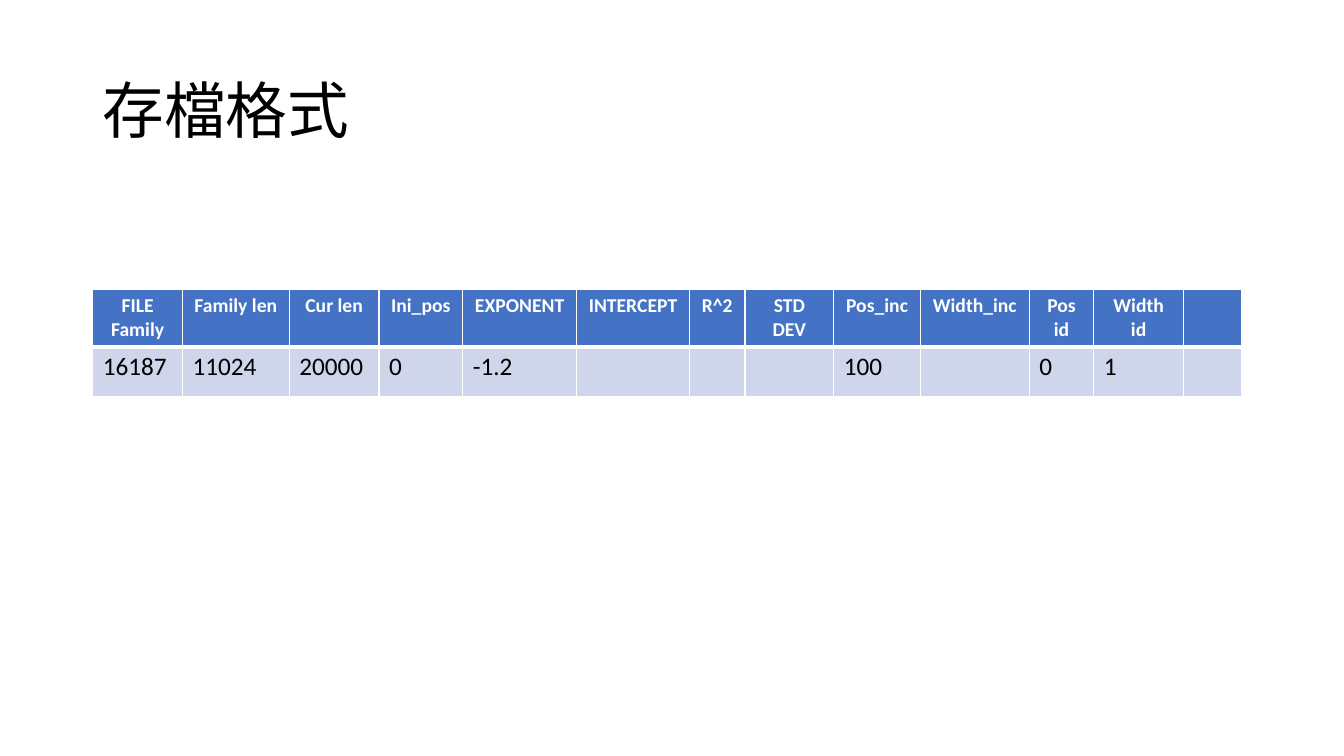
from lxml.etree import SubElement
from pptx import Presentation
from pptx.dml.color import RGBColor
from pptx.enum.text import MSO_ANCHOR, PP_ALIGN
from pptx.oxml.ns import qn
from pptx.util import Inches, Pt


class Theme:
    font = "Calibri"
    line = "FFFFFF"
    title = {"size": Pt(44), "bold": False, "color": "000000"}
    head = {"size": Pt(14), "bold": True, "color": "FFFFFF"}
    body = {"size": Pt(18), "bold": False, "color": "000000"}
    blue, pale = "4472C4", "CFD5EA"
    thin, thick = 1, 3


FIELDS = [  # label, value, column width
    ("FILE\vFamily", "16187", 0.89),
    ("Family len", "11024", 1.06),
    ("Cur len", "20000", 0.89),
    ("Ini_pos", "0", 0.83),
    ("EXPONENT", "-1.2", 1.13),
    ("INTERCEPT", "", 1.12),
    ("R^2", "", 0.55),
    ("STD DEV", "", 0.88),
    ("Pos_inc", "100", 0.86),
    ("Width_inc", "", 1.08),
    ("Pos id", "0", 0.64),
    ("Width id", "1", 0.89),
    ("", "", 0.58),
]


def write(para, text, style, align=PP_ALIGN.LEFT):
    para.text = text
    para.alignment = align
    for item in [para, *para.runs]:
        item.font.name = Theme.font
        for key, value in style.items():
            if key == "color":
                item.font.color.rgb = RGBColor.from_string(value)
            else:
                setattr(item.font, key, value)


def edge(cell, sides):
    props = cell._tc.get_or_add_tcPr()
    for side, width in sides.items():
        line = SubElement(props, qn(f"a:ln{side}"), w=str(Pt(width)))
        fill = SubElement(line, qn("a:solidFill"))
        SubElement(fill, qn("a:srgbClr"), val=Theme.line)


def add_title(slide, box, text):
    frame = slide.shapes.add_textbox(*map(Inches, box)).text_frame
    frame.word_wrap = True
    frame.vertical_anchor = MSO_ANCHOR.MIDDLE
    para = frame.paragraphs[0]
    para.line_spacing = 0.9
    write(para, text, Theme.title)


def add_grid(slide, box, fields, heights):
    grid = slide.shapes.add_table(2, len(fields), *map(Inches, box)).table
    labels, values, widths = zip(*fields)
    for col, width in zip(grid.columns, widths):
        col.width = Inches(width)
    rows = [
        (labels, Theme.head, Theme.blue, PP_ALIGN.CENTER, Theme.thin, Theme.thick),
        (values, Theme.body, Theme.pale, PP_ALIGN.LEFT, Theme.thick, Theme.thin),
    ]
    for row, height, (texts, style, color, align, top, base) in zip(grid.rows, heights, rows):
        row.height = Inches(height)
        for cell, text in zip(row.cells, texts):
            write(cell.text_frame.paragraphs[0], text, style, align)
            # Borders must precede the fill in the cell properties
            edge(cell, {"L": Theme.thin, "R": Theme.thin, "T": top, "B": base})
            cell.fill.solid()
            cell.fill.fore_color.rgb = RGBColor.from_string(color)


deck = Presentation()
deck.slide_width, deck.slide_height = Inches(13.33), Inches(7.5)
slide = deck.slides.add_slide(deck.slide_layouts[6])

# Heading
add_title(slide, (0.92, 0.4, 11.5, 1.45), "存檔格式")

# Record layout: field names above one sample record
add_grid(slide, (0.92, 2.87, 11.4, 1.06), FIELDS, (0.57, 0.49))

deck.save("out.pptx")
